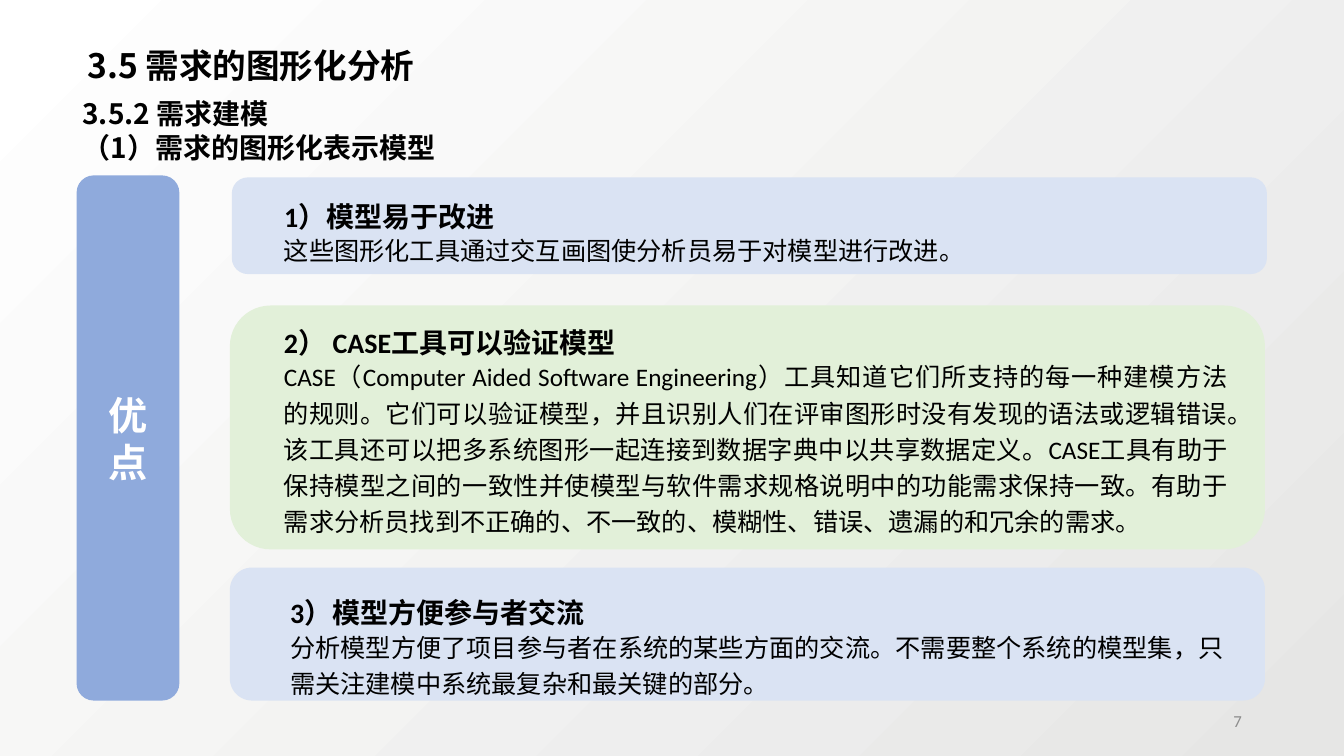
from lxml import etree
from pptx import Presentation
from pptx.dml.color import RGBColor
from pptx.enum import shapes, text
from pptx.oxml import ns
from pptx.util import Pt

BLACK = RGBColor(0x00, 0x00, 0x00)
WHITE = RGBColor(0xFF, 0xFF, 0xFF)
GREY = RGBColor(0x8C, 0x8C, 0x8C)
BACK_GREY = RGBColor(0xE6, 0xE6, 0xE5)
BAR_BLUE = RGBColor(0x8F, 0xAA, 0xDC)
PALE_BLUE = RGBColor(0xDA, 0xE3, 0xF3)
PALE_GREEN = RGBColor(0xE2, 0xF0, 0xD9)

LATIN = "Calibri"
CHINESE = "Noto Sans CJK SC"
JUSTIFY = text.PP_ALIGN.JUSTIFY
BODY_DROP = 26.6

# Card top, height, left and colour; text left, top, heading width, body width; heading; body
ADVANTAGES = [
    ((126.7, 69.1, 165.6, PALE_BLUE), (195.8, 133.9, 555.1, 691.2),
     "1）模型易于改进",
     "这些图形化工具通过交互画图使分析员易于对模型进行改进。"),
    ((218.2, 174.2, 164.2, PALE_GREEN), (195.8, 223.9, 558.7, 688.3),
     "2） CASE工具可以验证模型",
     "CASE（Computer Aided Software Engineering）工具知道它们所支持的每一种建模方法的规则。"
     "它们可以验证模型，并且识别人们在评审图形时没有发现的语法或逻辑错误。"
     "该工具还可以把多系统图形一起连接到数据字典中以共享数据定义。"
     "CASE工具有助于保持模型之间的一致性并使模型与软件需求规格说明中的功能需求保持一致。"
     "有助于需求分析员找到不正确的、不一致的、模糊性、错误、遗漏的和冗余的需求。"),
    ((405.4, 95, 164.2, PALE_BLUE), (200.2, 416.9, 547.2, 681.1),
     "3）模型方便参与者交流",
     "分析模型方便了项目参与者在系统的某些方面的交流。"
     "不需要整个系统的模型集，只需关注建模中系统最复杂和最关键的部分。"),
]


def paint_background(page):
    fill = page.background.fill
    fill.gradient()
    fill.gradient_angle = 135
    for stop, color, position in zip(fill.gradient_stops, (BACK_GREY, WHITE), (0, 1)):
        stop.color.rgb = color
        stop.position = position


def add_rounded_block(page, left, top, width, height, color):
    block = page.shapes.add_shape(shapes.MSO_SHAPE.ROUNDED_RECTANGLE,
                                  Pt(left), Pt(top), Pt(width), Pt(height))
    block.shadow.inherit = False
    block.fill.solid()
    block.fill.fore_color.rgb = color
    block.line.fill.background()
    return block


def write(shape, words, size, color=BLACK, bold=False, font=CHINESE,
          align=text.PP_ALIGN.LEFT, spacing=None):
    """Fill a shape with text; each line of words becomes a paragraph."""
    frame = shape.text_frame
    frame.word_wrap = True
    frame.text = words
    for para in frame.paragraphs:
        para.alignment = align
        para.line_spacing = spacing
        for span in para.runs:
            span.font.size = Pt(size)
            span.font.bold = bold
            span.font.color.rgb = color
            span.font.name = font
            etree.SubElement(span.font._element, ns.qn("a:ea"), typeface=CHINESE)


def add_text(page, left, top, width, height, words, size, **style):
    box = page.shapes.add_textbox(Pt(left), Pt(top), Pt(width), Pt(height))
    write(box, words, size, **style)
    box.text_frame.auto_size = text.MSO_AUTO_SIZE.SHAPE_TO_FIT_TEXT
    return box


def add_advantage(page, card, place, heading, body):
    top, height, left, color = card
    add_rounded_block(page, left, top, 739.4, height, color)
    left, top, heading_width, body_width = place
    style = {"font": LATIN, "align": JUSTIFY, "spacing": 1.2}
    add_text(page, left, top + BODY_DROP, body_width, 31.7, body, 18, **style)
    add_text(page, left, top, heading_width, 33.8, heading, 20, bold=True, **style)


def main():
    deck = Presentation()
    deck.slide_width, deck.slide_height = Pt(960), Pt(540)
    page = deck.slides.add_slide(deck.slide_layouts[6])
    paint_background(page)

    for advantage in ADVANTAGES:
        add_advantage(page, *advantage)

    add_text(page, 55.4, 28.8, 254.2, 36, "3.5 需求的图形化分析", 24, bold=True)
    bar = add_rounded_block(page, 54.7, 125.3, 73.4, 375.1, BAR_BLUE)
    write(bar, "优点", 28, color=WHITE, bold=True, align=text.PP_ALIGN.CENTER)
    bar.text_frame.vertical_anchor = text.MSO_ANCHOR.MIDDLE
    add_text(page, 51.8, 65.5, 611.3, 55.4,
             "3.5.2 需求建模\n（1）需求的图形化表示模型", 20, bold=True)
    number = add_text(page, 678.2, 500.4, 216, 28.8, "7", 12, color=GREY,
                      font=LATIN, align=text.PP_ALIGN.RIGHT)
    number.text_frame.auto_size = text.MSO_AUTO_SIZE.NONE
    number.text_frame.vertical_anchor = text.MSO_ANCHOR.MIDDLE
    deck.save("out.pptx")


if __name__ == "__main__":
    main()
